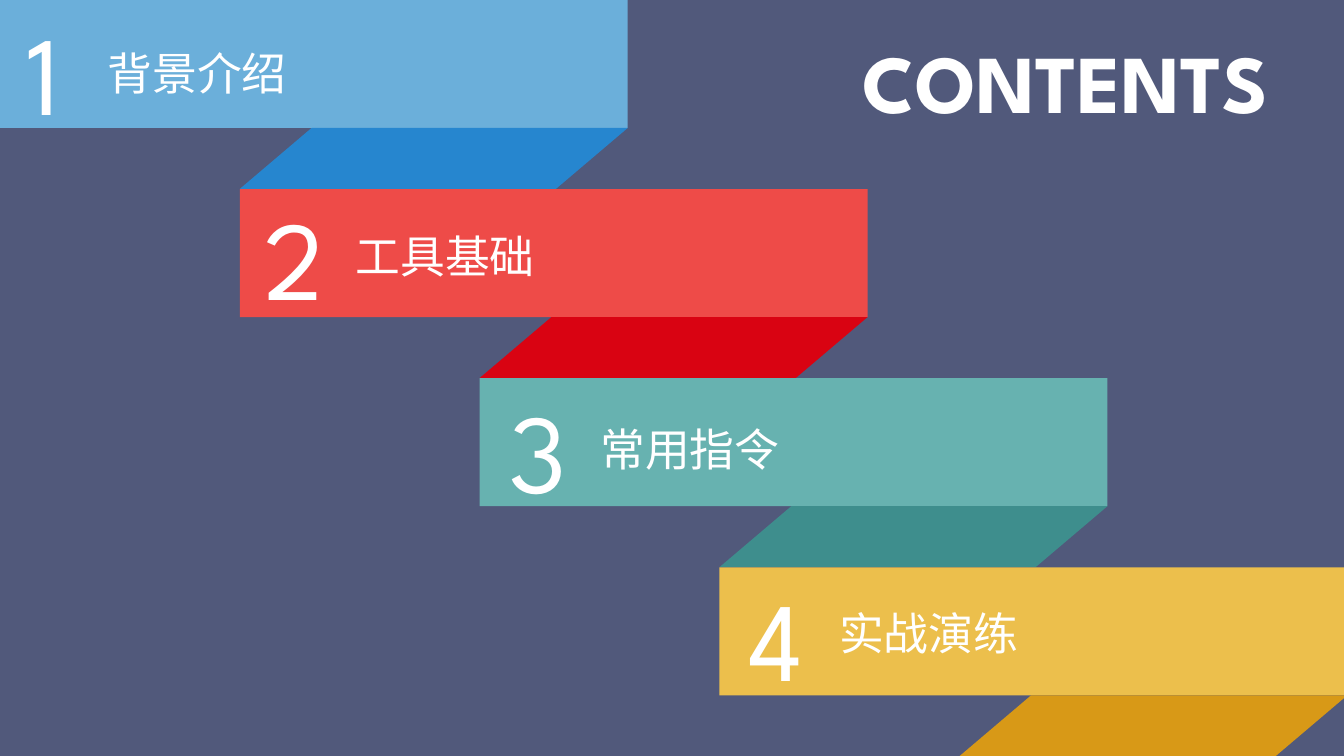
"""Build the CONTENTS slide: four numbered ribbons folding down in steps."""
from dataclasses import dataclass

from pptx import Presentation
from pptx.dml.color import RGBColor
from pptx.enum import shapes, text
from pptx.util import Pt

SLIDE_WIDTH, SLIDE_HEIGHT = 960.5, 540
STEP_X, STEP_Y = 171.4, 135.1
RIBBON_WIDTH, RIBBON_HEIGHT = 448.6, 91.4
FOLD_WIDTH, FOLD_HEIGHT = 277.2, 43.5
FOLD_SLANT = 1.178
FONT = "League Spartan"
WHITE = "FFFFFF"


@dataclass(frozen=True)
class Chapter:
    label: str
    ribbon_color: str
    fold_color: str
    number_at: tuple[float, float]
    label_at: tuple[float, float]


CHAPTERS = [
    Chapter("背景介绍", "6BAFDA", "2686CF", (11.5, -1.4), (69.8, 28.8)),
    Chapter("工具基础", "EE4B48", "D90312", (182.2, 131), (247, 159.8)),
    Chapter("常用指令", "67B2B0", "3E8E8D", (357.1, 269.3), (421.9, 297.4)),
    Chapter("实战演练", "ECBF4C", "D89917", (527.8, 403.2), (592.6, 429.1)),
]


def paint(fill, color: str) -> None:
    fill.solid()
    fill.fore_color.rgb = RGBColor.from_string(color)


def write(box, words: str, *, size: float, bold: bool = False, wrap: bool = False,
          align=text.PP_ALIGN.LEFT) -> None:
    frame = box.text_frame
    frame.word_wrap = wrap
    frame.auto_size = text.MSO_AUTO_SIZE.SHAPE_TO_FIT_TEXT
    frame.vertical_anchor = text.MSO_ANCHOR.TOP
    paragraph = frame.paragraphs[0]
    paragraph.alignment = align
    run = paragraph.add_run()
    run.text = words
    run.font.name = FONT
    run.font.size = Pt(size)
    run.font.bold = bold
    paint(run.font.fill, WHITE)


def add_band(slide, preset, left: float, top: float, width: float, height: float,
             color: str):
    band = slide.shapes.add_shape(preset, Pt(left), Pt(top), Pt(width), Pt(height))
    band.shadow.inherit = False
    paint(band.fill, color)
    band.line.fill.background()
    return band


def add_text(slide, words: str, at: tuple[float, float], width: float, height: float,
             **style) -> None:
    box = slide.shapes.add_textbox(Pt(at[0]), Pt(at[1]), Pt(width), Pt(height))
    write(box, words, **style)


def add_chapter(slide, index: int, chapter: Chapter) -> None:
    left, top = index * STEP_X, index * STEP_Y
    add_band(slide, shapes.MSO_SHAPE.RECTANGLE, left, top,
             RIBBON_WIDTH, RIBBON_HEIGHT, chapter.ribbon_color)
    fold = add_band(slide, shapes.MSO_SHAPE.PARALLELOGRAM, left + STEP_X,
                    top + RIBBON_HEIGHT, FOLD_WIDTH, FOLD_HEIGHT, chapter.fold_color)
    fold.adjustments[0] = FOLD_SLANT
    add_text(slide, str(index + 1), chapter.number_at, 59, 104.4, size=80)
    add_text(slide, chapter.label, chapter.label_at, 350, 46, size=32, wrap=True)


def main() -> None:
    deck = Presentation()
    deck.slide_width, deck.slide_height = Pt(SLIDE_WIDTH), Pt(SLIDE_HEIGHT)
    slide = deck.slides.add_slide(deck.slide_layouts[5])
    paint(slide.background.fill, "51597B")

    heading = slide.shapes.title
    heading.left, heading.top = Pt(604.1), Pt(18.7)
    heading.width, heading.height = Pt(309.6), Pt(78.5)
    write(heading, "CONTENTS", size=58.7, bold=True, align=text.PP_ALIGN.RIGHT)

    for index, chapter in enumerate(CHAPTERS):
        add_chapter(slide, index, chapter)
    deck.save("out.pptx")


if __name__ == "__main__":
    main()
